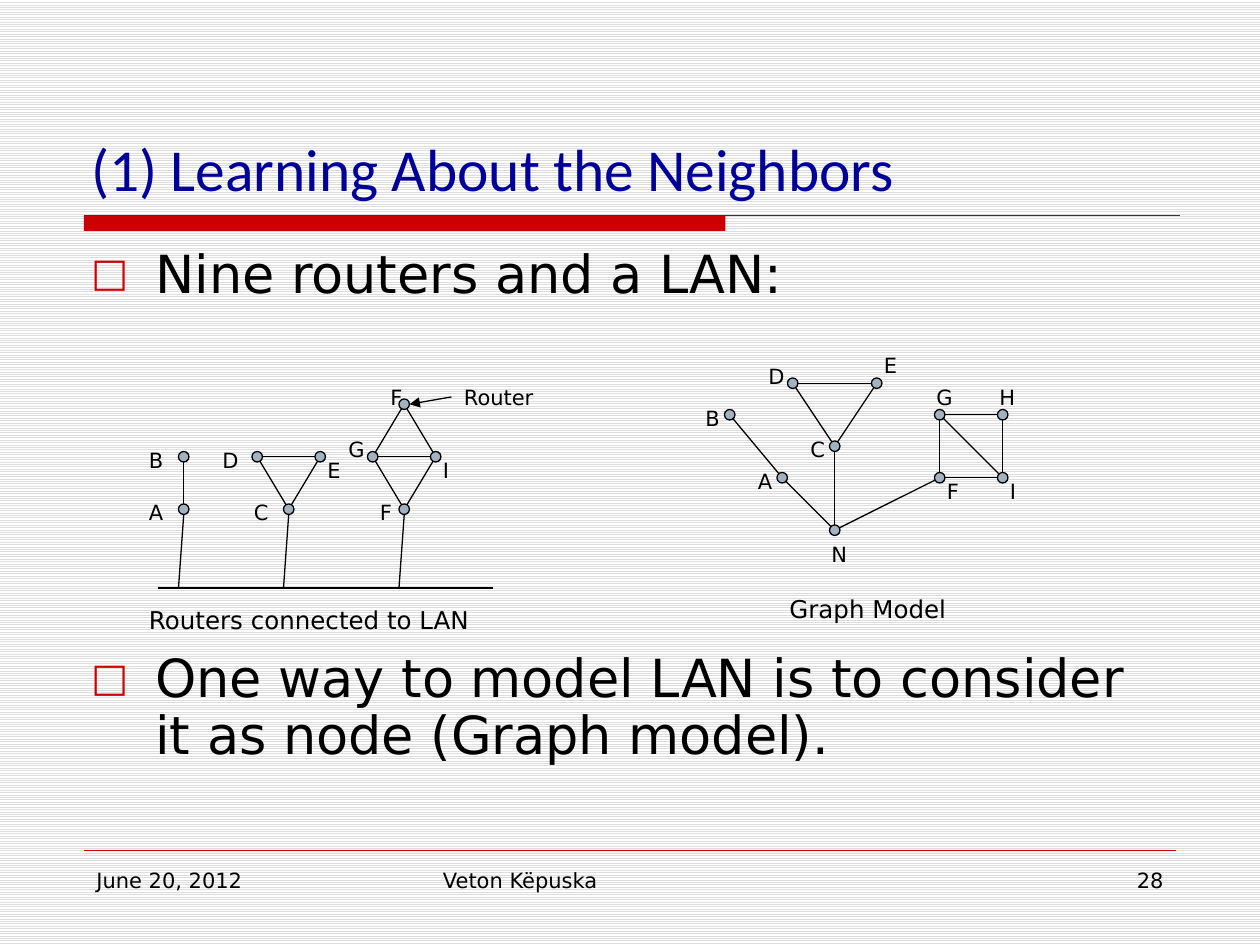
"""Build the slide on learning about neighbouring routers."""
import math
from dataclasses import dataclass

import lxml.etree
import pptx
import pptx.dml.color
import pptx.enum.dml
import pptx.enum.shapes
import pptx.enum.text
import pptx.oxml.ns
import pptx.util

ALIGN = pptx.enum.text.PP_ALIGN
ANCHOR = pptx.enum.text.MSO_ANCHOR
AUTOSIZE = pptx.enum.text.MSO_AUTO_SIZE
SHAPE = pptx.enum.shapes.MSO_SHAPE
CELLS_PER_INCH = 12
RADIUS = 0.5
BLACK, RED, BLUE, STEEL, DARK = "000000", "CC0000", "000099", "A3B2C1", "333333"


@dataclass
class Router:
    """A node's cell and its label's offset from it."""
    col: float
    row: float
    dx: float
    dy: float

    @property
    def centre(self) -> tuple[float, float]:
        """Return the middle of the node's cell."""
        return self.col + RADIUS, self.row + RADIUS


@dataclass
class Label:
    """A text and its box in grid cells."""
    text: str
    col: float
    row: float
    width: float
    height: float = 3.6
    size: float = 12
    font: str = "DejaVu Sans"
    color: str = BLACK
    align: ALIGN = ALIGN.LEFT
    anchor: ANCHOR = ANCHOR.TOP
    autosize: AUTOSIZE = AUTOSIZE.NONE


@dataclass
class Graph:
    """Routers by key, with edges as pairs of keys."""
    routers: dict[str, Router]
    edges: str


LAN = Graph({
    "A": Router(17, 48, -4, -1), "B": Router(17, 43, -4, -1),
    "D": Router(24, 43, -4, -1), "C": Router(27, 48, -4, -1),
    "E": Router(30, 43, 0, 0), "G": Router(35, 43, -3, -2),
    "F": Router(38, 48, -3, -1), "I": Router(41, 43, 0, 0),
    "f": Router(38, 38, -2, -2),
}, "AB DC EC DE GF IF fI fG GI")
MODEL = Graph({
    "A": Router(74, 45, -3, -1), "B": Router(69, 39, -3, -1),
    "N": Router(79, 50, -1, 1), "C": Router(79, 42, -3, -1),
    "D": Router(75, 36, -3, -2), "E": Router(83, 36, 0, -3),
    "F": Router(89, 45, 0, 0), "G": Router(89, 39, -1, -3),
    "H": Router(95, 39, -1, -3), "I": Router(95, 45, 0, 0),
}, "NA AB NC CD CE NF FG GH DE FI IH GI")
LABELS = [
    Label("June 20, 2012", 8, 82, 26, 6.25),
    Label("Veton Këpuska", 41, 82, 38, 6.25),
    Label("28", 86, 82, 26, 6.25, align=ALIGN.RIGHT),
    Label("(1) Learning About the Neighbors", 7.5, 4, 105, 16, 34, "Calibri", BLUE,
          anchor=ANCHOR.BOTTOM),
    Label("Router", 43, 36, 11),
    Label("Routers connected to LAN", 13, 57, 33, 4, 14),
    Label("Graph Model", 74, 56, 19, 4, 14),
]
BULLETS = {"Nine routers and a LAN:": 0,
           "One way to model LAN is to consider it as node (Graph model).": 199}
LAN_ROW = 56


def cells(n: float) -> pptx.util.Emu:
    """Convert grid cells to a length."""
    return pptx.util.Inches(n / CELLS_PER_INCH)


def rgb(color: str) -> pptx.dml.color.RGBColor:
    """Return the colour for a hex string."""
    return pptx.dml.color.RGBColor.from_string(color)


def sub(parent, tag: str, **attrs: str):
    """Append a drawing element to a parent."""
    return lxml.etree.SubElement(parent, pptx.oxml.ns.qn(tag), attrs)


def assign(target, values: dict) -> None:
    """Set each named attribute on a target."""
    for name, value in values.items():
        setattr(target, name, value)


def add_run(p, label: Label) -> None:
    """Add a label's formatted text to a paragraph."""
    r = p.add_run()
    r.text = label.text
    assign(r.font, {"size": pptx.util.Pt(label.size), "name": label.font})
    r.font.color.rgb = rgb(label.color)


def add_box(s, label: Label):
    """Add an empty wrapped text box and return its frame."""
    box = map(cells, (label.col, label.row, label.width, label.height))
    tf = s.shapes.add_textbox(*box).text_frame
    assign(tf, {"word_wrap": True, "auto_size": label.autosize,
                "vertical_anchor": label.anchor})
    return tf


def add_label(s, label: Label) -> None:
    """Draw a one-paragraph text."""
    p = add_box(s, label).paragraphs[0]
    p.alignment = label.align
    add_run(p, label)


def add_bullets(s) -> None:
    """Draw the body text with square bullets."""
    tf = add_box(s, Label("", 7.5, 23, 105, 56))
    for i, (text, gap) in enumerate(BULLETS.items()):
        p = tf.add_paragraph() if i else tf.paragraphs[0]
        assign(p, {"line_spacing": 0.9, "space_before": pptx.util.Pt(gap)})
        pPr = p._p.get_or_add_pPr()
        indent = pptx.util.Inches(0.51)
        pPr.set("marL", str(indent))
        pPr.set("indent", str(-indent))
        sub(sub(pPr, "a:buClr"), "a:srgbClr", val=RED)
        sub(pPr, "a:buSzPct", val="75000")
        sub(pPr, "a:buFont", typeface="DejaVu Sans")
        sub(pPr, "a:buChar", char="□")
        add_run(p, Label(text, 0, 0, 0, size=30))


def add_line(s, start, end, color: str = BLACK, width: float = 0.75, arrow: bool = False) -> None:
    """Draw a straight line between two grid points."""
    kind = pptx.enum.shapes.MSO_CONNECTOR.STRAIGHT
    sp = s.shapes.add_connector(kind, *map(cells, (*start, *end)))
    sp.line.width = pptx.util.Pt(width)
    sp.line.color.rgb = rgb(color)
    if arrow:
        sub(sp.line._get_or_add_ln(), "a:tailEnd", type="triangle")
    sub(sp._element.spPr, "a:effectLst")


def add_shape(s, kind: SHAPE, box, fill: str):
    """Draw a filled preset shape without a shadow."""
    sp = s.shapes.add_shape(kind, *map(cells, box))
    sp.shadow.inherit = False
    sp.fill.solid()
    sp.fill.fore_color.rgb = rgb(fill)
    return sp


def add_graph(s, graph: Graph) -> None:
    """Draw routers, labels and edges that stop at the circles."""
    for key, node in graph.routers.items():
        sp = add_shape(s, SHAPE.OVAL, (node.col, node.row, 2 * RADIUS, 2 * RADIUS), STEEL)
        sp.line.color.rgb = rgb(BLACK)
        sp.line.width = pptx.util.Pt(0.75)
        add_label(s, Label(key.upper(), node.col + node.dx, node.row + node.dy, 4,
                           autosize=AUTOSIZE.SHAPE_TO_FIT_TEXT))
    for a, b in graph.edges.split():
        (x1, y1), (x2, y2) = graph.routers[a].centre, graph.routers[b].centre
        share = RADIUS / math.dist((x1, y1), (x2, y2))
        dx, dy = (x2 - x1) * share, (y2 - y1) * share
        add_line(s, (x1 + dx, y1 + dy), (x2 - dx, y2 - dy))


def main() -> None:
    """Build and save the slide."""
    prs = pptx.Presentation()
    assign(prs, {"slide_width": cells(120), "slide_height": cells(90)})
    s = prs.slides.add_slide(prs.slide_layouts[6])
    fill = s.background.fill
    fill.patterned()
    fill.pattern = pptx.enum.dml.MSO_PATTERN.LIGHT_HORIZONTAL
    fill.fore_color.rgb, fill.back_color.rgb = rgb("DDDDDD"), rgb("FFFFFF")
    add_shape(s, SHAPE.RECTANGLE, (8, 20.5, 61.08, 1.5), RED).line.fill.background()
    add_line(s, (8, 20.5), (112.4, 20.5), DARK)
    add_line(s, (8, 81), (112, 81), RED, 0.25)
    for label in LABELS:
        add_label(s, label)
    add_bullets(s)
    for graph in (LAN, MODEL):
        add_graph(s, graph)
    add_line(s, (15, LAN_ROW), (47, LAN_ROW))
    for key in "ACF":
        node = LAN.routers[key]
        add_line(s, (node.centre[0], node.row + 2 * RADIUS), (node.col, LAN_ROW))
    add_line(s, (43, 37.8), (39, 38.5), arrow=True)
    prs.save("out.pptx")


if __name__ == "__main__":
    main()
